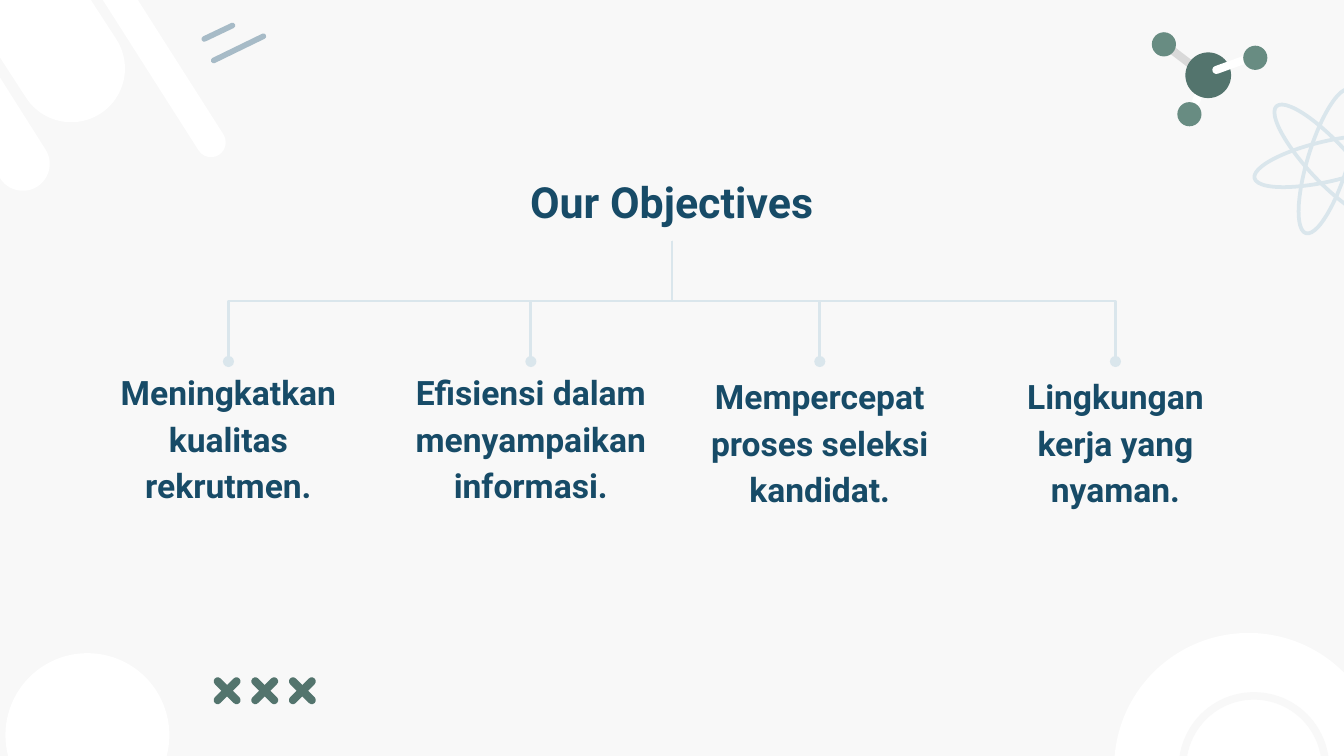
import math
from dataclasses import dataclass

import pptx
import pptx.dml.color
import pptx.enum.shapes
import pptx.enum.text
import pptx.oxml
import pptx.oxml.ns
import pptx.util
from pptx.util import Inches

SHAPE = pptx.enum.shapes.MSO_SHAPE
CONNECTOR = pptx.enum.shapes.MSO_CONNECTOR
WHITE, PAPER, NAVY, PALE = "FFFFFF", "F8F8F8", "174B67", "DAE6EC"
STEEL, GREEN, SAGE, GREY = "A7BBC7", "53746D", "688C82", "D9D9D9"


@dataclass
class Disc:
    x: float
    y: float
    radius: float
    color: str


@dataclass
class Capsule:
    """A round-ended bar, given by the centres of its two ends."""
    x1: float
    y1: float
    x2: float
    y2: float
    width: float
    color: str


@dataclass
class Objective:
    text: str
    x: float
    width: float
    height: float


def rgb(color: str) -> pptx.dml.color.RGBColor:
    return pptx.dml.color.RGBColor.from_string(color)


def add_filled(s, kind, x: float, y: float, w: float, h: float, color: str):
    """Add a filled shape without outline, centred on x, y."""
    sp = s.shapes.add_shape(kind, Inches(x - w / 2), Inches(y - h / 2), Inches(w), Inches(h))
    sp.shadow.inherit = False
    sp.fill.solid()
    sp.fill.fore_color.rgb = rgb(color)
    sp.line.fill.background()
    return sp


def add_disc(s, d: Disc) -> None:
    add_filled(s, SHAPE.OVAL, d.x, d.y, 2 * d.radius, 2 * d.radius, d.color)


def add_capsule(s, c: Capsule) -> None:
    dx, dy = c.x2 - c.x1, c.y2 - c.y1
    sp = add_filled(s, SHAPE.ROUNDED_RECTANGLE, (c.x1 + c.x2) / 2, (c.y1 + c.y2) / 2,
                    math.hypot(dx, dy) + c.width, c.width, c.color)
    sp.adjustments[0] = 0.5
    sp.rotation = math.degrees(math.atan2(dy, dx))


def add_orbit(s, angle: float) -> None:
    sp = add_filled(s, SHAPE.OVAL, 9.88, 1.2, 0.3, 1.12, PALE)
    sp.fill.background()
    sp.line.color.rgb = rgb(PALE)
    sp.line.width = pptx.util.Pt(2)
    sp.rotation = angle


def add_line(s, kind, x1: float, y1: float, x2: float, y2: float, color: str, width: float):
    c = s.shapes.add_connector(kind, Inches(x1), Inches(y1), Inches(x2), Inches(y2))
    c.line.color.rgb = rgb(color)
    c.line.width = pptx.util.Pt(width)
    pptx.oxml.ns.qn("a:ln")
    c._element.spPr.append(pptx.oxml.parse_xml(
        f"<a:effectLst {pptx.oxml.ns.nsdecls('a')}/>"))
    return c


def add_branch(s, x1: float, y1: float, x2: float, y2: float) -> None:
    """Add an elbow that leaves downwards, by turning a sideways one."""
    mx, my = (x1 + x2) / 2, (y1 + y2) / 2
    half_w, half_h = (y2 - y1) / 2, abs(x2 - x1) / 2
    side = 1 if x2 > x1 else -1
    c = add_line(s, CONNECTOR.ELBOW, mx + side * half_w, my - half_h,
                 mx - side * half_w, my + half_h, PALE, 1.5)
    turn = 270 if side > 0 else 90
    c._element.spPr.find(pptx.oxml.ns.qn("a:xfrm")).set("rot", str(turn * 60000))
    c.line._get_or_add_ln().append(pptx.oxml.parse_xml(
        f'<a:tailEnd {pptx.oxml.ns.nsdecls("a")} type="oval"/>'))


def add_text(s, text: str, x: float, y: float, w: float, h: float, size: float) -> None:
    """Add bold centred text in a box centred on x with its top at y."""
    tf = s.shapes.add_textbox(Inches(x - w / 2), Inches(y), Inches(w), Inches(h)).text_frame
    tf.word_wrap = True
    tf.vertical_anchor = pptx.enum.text.MSO_ANCHOR.BOTTOM
    tf.margin_left = tf.margin_right = tf.margin_top = tf.margin_bottom = Inches(0.1)
    p = tf.paragraphs[0]
    p.alignment = pptx.enum.text.PP_ALIGN.CENTER
    p.line_spacing = 1.15
    r = p.add_run()
    r.text = text
    r.font.name = "Roboto"
    r.font.size = pptx.util.Pt(size)
    r.font.bold = True
    r.font.color.rgb = rgb(NAVY)


STROKES = [(1.59, 0.45, 1.96, 0.27), (1.52, 0.29, 1.73, 0.19)]
OBJECTIVES = [
    Objective("Meningkatkan kualitas rekrutmen.", 1.7, 1.84, 1.17),
    Objective("Efisiensi dalam menyampaikan informasi.", 3.95, 1.93, 1.17),
    Objective("Mempercepat proses seleksi kandidat.", 6.1, 1.84, 1.2),
    Objective("Lingkungan kerja yang nyaman.", 8.3, 1.84, 1.2),
]
CORNER_BARS = [
    Capsule(-0.08, -0.43, 0.53, 0.51, 0.8, WHITE),
    Capsule(-0.64, -0.06, 0.17, 1.22, 0.4, WHITE),
    Capsule(0.66, -0.37, 1.57, 1.06, 0.22, WHITE),
]
MOLECULE = [
    Capsule(8.69, 0.35, 8.86, 0.48, 0.06, GREY),
    Capsule(8.93, 0.67, 8.86, 0.86, 0.06, WHITE),
    Disc(8.99, 0.56, 0.17, GREEN),
    Disc(8.66, 0.33, 0.09, SAGE),
    Disc(8.85, 0.85, 0.09, SAGE),
    Capsule(9.3, 0.43, 9.05, 0.52, 0.06, WHITE),
    Disc(9.34, 0.43, 0.09, SAGE),
]


def main() -> None:
    prs = pptx.Presentation()
    prs.slide_width, prs.slide_height = Inches(10), Inches(5.625)
    s = prs.slides.add_slide(prs.slide_layouts[6])
    s.background.fill.solid()
    s.background.fill.fore_color.rgb = rgb(PAPER)

    # Bottom corners: disc with ring, three crosses, plain disc
    add_disc(s, Disc(9.29, 5.71, 1, WHITE))
    ring = add_filled(s, SHAPE.DONUT, 9.33, 5.71, 1.12, 1.12, PAPER)
    ring.adjustments[0] = 0.05
    for i in range(3):
        x, y, arm = 1.69 + i * 0.28, 5.14, 0.07
        for slope in (-1, 1):
            add_capsule(s, Capsule(x - arm, y - slope * arm, x + arm, y + slope * arm, 0.06, GREEN))
    add_disc(s, Disc(0.65, 5.47, 0.61, WHITE))

    # Top strokes and atom orbits
    for stroke in STROKES:
        c = add_line(s, CONNECTOR.STRAIGHT, *stroke, STEEL, 3)
        c.line._get_or_add_ln().set("cap", "rnd")
    for angle in (17, 77, -43):
        add_orbit(s, angle)

    # Title, objectives and the tree that joins them
    add_text(s, "Our Objectives", 5, 1.32, 2.38, 0.47, 23)
    for o in OBJECTIVES:
        add_text(s, o.text, o.x, 2.69, o.width, o.height, 18)
    for o in OBJECTIVES:
        add_branch(s, 5, 1.79, o.x, 2.69)

    # Top corners: slanted bars and molecule
    for part in CORNER_BARS + MOLECULE:
        if isinstance(part, Disc):
            add_disc(s, part)
        else:
            add_capsule(s, part)

    prs.save("out.pptx")


if __name__ == "__main__":
    main()
